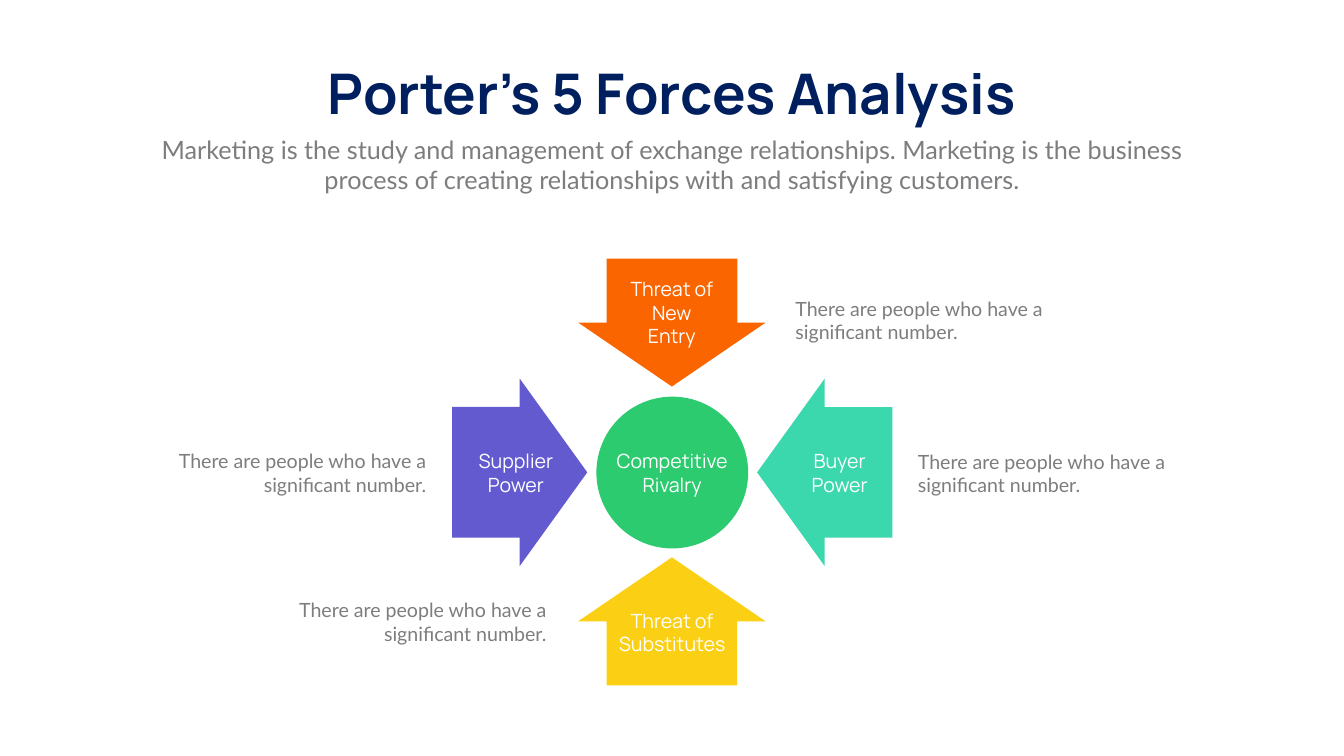
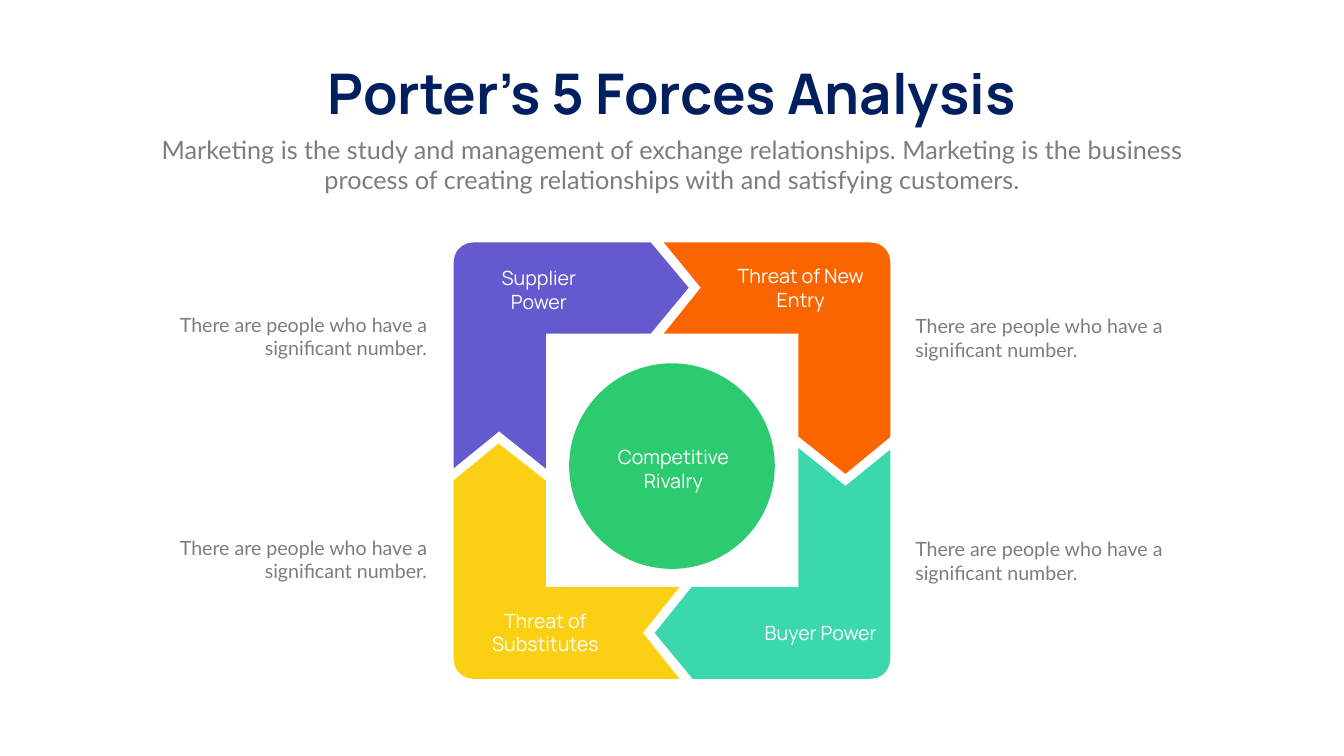
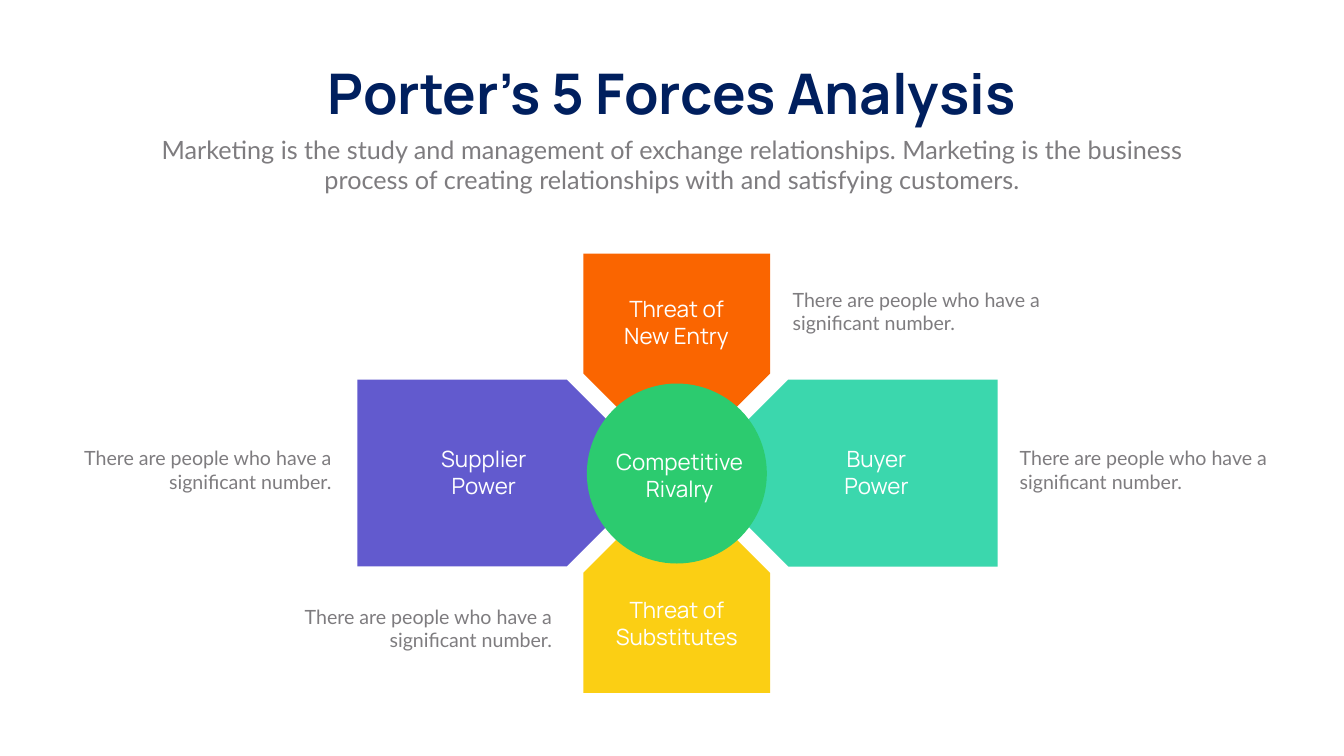
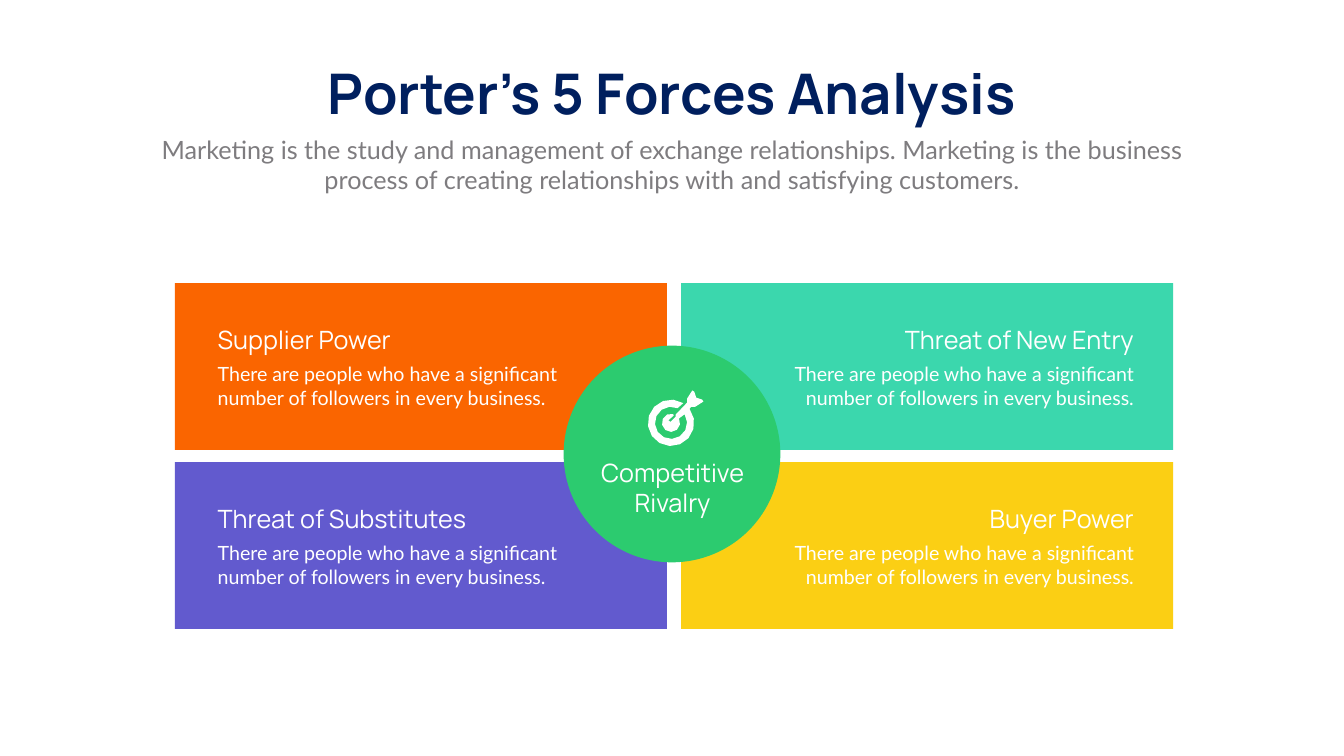
from math import cos, radians, sin

from pptx import Presentation
from pptx.dml.color import RGBColor as Rgb
from pptx.enum.shapes import MSO_SHAPE as Kind
from pptx.enum.text import MSO_ANCHOR as Anchor, MSO_AUTO_SIZE as Auto, PP_ALIGN as Align
from pptx.util import Cm, Pt

COLORS = {
    "navy": "001F5E",
    "gray": "7E7C7F",
    "white": "FFFFFF",
    "green": "2CCB6F",
    "yellow": "FBCF14",
    "orange": "FA6500",
    "teal": "3BD7AD",
    "purple": "625ACE",
}
TITLE = "Porter’s 5 Forces Analysis"
INTRO = (
    "Marketing is the study and management of exchange relationships. "
    "Marketing is the business process of creating relationships with "
    "and satisfying customers."
)
NOTE = "There are people who have a significant number."
CARD = "There are people who have a significant number of followers in every business."
RIVAL = "Competitive Rivalry"
ENTRY = "Threat of New Entry"
SUBS = "Threat of Substitutes"
BUYER = "Buyer Power"
SUPPLY = "Supplier Power"

LEFT, CENTER, RIGHT = Align.LEFT, Align.CENTER, Align.RIGHT
STYLES = {
    "title": {"name": "Manrope", "size": Pt(80), "bold": True},
    "intro": {"name": "Lato", "size": Pt(36)},
    "note": {"name": "Lato", "size": Pt(28)},
    "small": {"name": "Manrope", "size": Pt(28)},
    "mid": {"name": "Manrope", "size": Pt(32)},
    "large": {"name": "Manrope", "size": Pt(36)},
}
TIGHT = {
    "margin_left": 0,
    "margin_right": 0,
    "margin_top": 0,
    "margin_bottom": 0,
    "vertical_anchor": Anchor.MIDDLE,
}


def apply(item, values):
    for key, value in values.items():
        setattr(item, key, value)


def place(box):
    return [Cm(value) for value in box]


def write(frame, words, style, color, align, wrap=True, **extra):
    apply(frame, {"word_wrap": wrap, "auto_size": Auto.SHAPE_TO_FIT_TEXT, **extra})
    para = frame.paragraphs[0]
    para.alignment = align
    run = para.add_run()
    run.text = words
    apply(run.font, STYLES[style])
    run.font.color.rgb = Rgb.from_string(COLORS[color])


def text(slide, box, words, style, color="gray", align=LEFT, **extra):
    frame = slide.shapes.add_textbox(*place(box)).text_frame
    write(frame, words, style, color, align, **extra)


def label(slide, box, words, style):
    text(slide, box, words, style, "white", CENTER, **TIGHT)


def notes(slide, size, spots):
    for x, y, align in spots:
        text(slide, (x, y, *size), NOTE, "note", align=align)


def paint(shape, color):
    shape.fill.solid()
    shape.fill.fore_color.rgb = Rgb.from_string(COLORS[color])
    shape.line.fill.background()
    shape.shadow.inherit = False


def solid(slide, kind, box, color, turn=0, adjust=()):
    shape = slide.shapes.add_shape(kind, *place(box))
    shape.rotation = turn
    for index, value in enumerate(adjust):
        shape.adjustments[index] = value
    paint(shape, color)


def disc(slide, x, y, size):
    solid(slide, Kind.OVAL, (x, y, size, size), "green")


def arc(x, y, radius, start, end, steps):
    angles = [radians(start + (end - start) * i / steps) for i in range(steps + 1)]
    return [(x + radius * cos(a), y + radius * sin(a)) for a in angles]


def outline(slide, points, color):
    dots = [place(point) for point in points]
    form = slide.shapes.build_freeform(*dots[0])
    form.add_line_segments(dots[1:], close=True)
    paint(form.convert_to_shape(), color)


def target(slide, x, y):
    dart = [
        (1.63, -1.07), (1.57, -1.17), (1.27, -1.27), (1.17, -1.57), (1.07, -1.63),
        (0.81, -1.22), (0.81, -1.02), (0.23, -0.41), (0.23, -0.3), (-0.03, -0.05),
        (-0.13, -0.13), (0.13, -0.36),
    ]
    rings = (
        arc(0, 0, 0.46, -75, -389, 8)
        + arc(0, 0, 0.81, -32, 294, 11)
        + arc(0, 0, 1.17, -58, -397, 13)
    )
    tail = [(1.02, -0.81), (1.22, -0.81)]
    outline(slide, [(x + dx, y + dy) for dx, dy in dart + rings + tail], "white")


def start(deck):
    slide = deck.slides.add_slide(deck.slide_layouts[5])
    title = slide.shapes.title
    apply(title, dict(zip(("left", "top", "width", "height"), place((15.06, 2.84, 37.59, 3.68)))))
    write(title.text_frame, TITLE, "title", "navy", CENTER, wrap=False, vertical_anchor=Anchor.TOP)
    text(slide, (7.42, 6.63, 52.88, 3.33), INTRO, "intro", align=CENTER)
    return slide


def arrows(deck):
    slide = start(deck)
    disc(slide, 30.05, 19.99, 7.65)
    for x, y, high, turn, color in (
        (29.13, 28.09, 6.45, 0, "yellow"),
        (29.13, 13.03, 6.45, 180, "orange"),
        (36.83, 20.4, 6.81, 270, "teal"),
        (21.46, 20.4, 6.81, 90, "purple"),
    ):
        solid(slide, Kind.UP_ARROW, (x, y, 9.45, high), color, turn, (0.697, 0.5))
    for box, words in (
        ((30.5, 22.71, 6.73, 2.21), RIVAL),
        ((39.65, 22.71, 5.31, 2.21), BUYER),
        ((23.34, 22.71, 5.31, 2.21), SUPPLY),
        ((31.73, 14.08, 4.24, 3.33), ENTRY),
        ((30.5, 30.75, 6.73, 2.21), SUBS),
    ):
        label(slide, box, words, "small")
    notes(slide, (13, 2.64), (
        (46, 22.53, LEFT), (8.72, 22.5, RIGHT), (39.83, 14.83, LEFT), (14.78, 30.02, RIGHT),
    ))


def cycle(deck):
    slide = start(deck)
    disc(slide, 28.68, 18.31, 10.36)
    west, east, north, south = 22.86, 44.86, 12.22, 34.21
    inwest, ineast, innorth, insouth = 27.51, 40.23, 16.81, 29.59
    bend = 0.98
    for color, x, y, angle, points in (
        ("orange", east - bend, north + bend, 270, [
            (east, 22.02), (42.6, 23.88), (ineast, 22), (ineast, innorth),
            (33.45, innorth), (35.31, 14.5), (33.45, north)]),
        ("teal", east - bend, south - bend, 0, [
            (34.9, south), (32.99, 31.9), (34.85, insouth), (ineast, insouth),
            (ineast, 22.58), (42.6, 24.49), (east, 22.66)]),
        ("yellow", west + bend, south - bend, 90, [
            (west, 24.21), (25.12, 22.35), (inwest, 24.23), (inwest, insouth),
            (34.24, insouth), (32.39, 31.9), (34.24, south)]),
        ("purple", west + bend, north + bend, 180, [
            (32.79, north), (34.7, 14.5), (32.79, innorth), (inwest, innorth),
            (inwest, 23.62), (25.15, 21.74), (west, 23.6)]),
    ):
        outline(slide, arc(x, y, bend, angle, angle + 90, 5) + points, color)
    for box, words in (
        ((29.97, 22.32, 7.92, 2.62), RIVAL),
        ((38.23, 30.58, 6.25, 2.62), BUYER),
        ((24.03, 13.28, 6.25, 2.62), SUPPLY),
        ((36.88, 13.08, 6.93, 2.82), ENTRY),
        ((23.52, 30.56, 7.92, 2.62), SUBS),
    ):
        label(slide, box, words, "small")
    notes(slide, (15.29, 3.12), (
        (45.87, 15.72, LEFT), (6.48, 15.62, RIGHT), (45.87, 26.95, LEFT), (6.48, 26.87, RIGHT),
    ))


def cross(deck):
    slide = start(deck)
    for x, y, high, turn, color in (
        (20.07, 17.07, 13.54, 90, "purple"),
        (38.79, 17.07, 13.54, 270, "teal"),
        (29.39, 12.78, 8.86, 180, "orange"),
        (29.39, 26.06, 8.86, 0, "yellow"),
    ):
        solid(slide, Kind.SNIP_2_SAME_RECTANGLE, (x, y, 9.42, high), color, turn, (0.318, 0))
    disc(slide, 29.57, 19.33, 9.07)
    for x, y, wide, words in (
        (29.71, 22.58, 9.07, RIVAL),
        (42.16, 22.43, 4.01, BUYER),
        (20.8, 22.43, 7.16, SUPPLY),
        (31.22, 14.85, 5.74, ENTRY),
        (29.57, 30.02, 9.07, SUBS),
    ):
        label(slide, (x, y, wide, 2.74), words, "mid")
    notes(slide, (13, 2.64), (
        (3.95, 22.35, RIGHT), (39.69, 14.38, LEFT), (15.06, 30.35, RIGHT), (51.13, 22.35, LEFT),
    ))


def cards(deck):
    slide = start(deck)
    grid = (
        (0, 0, "orange", SUPPLY, 12.83),
        (1, 0, "teal", ENTRY, 12.83),
        (0, 1, "purple", SUBS, 14.61),
        (1, 1, "yellow", BUYER, 12.83),
    )
    step = 9.02
    for col, row, color, *_ in grid:
        box = (8.81 + 25.51 * col, 14.27 + step * row, 24.79, 8.41)
        solid(slide, Kind.RECTANGLE, box, color)
    disc(slide, 28.4, 17.42, 10.92)
    target(slide, 33.81, 21.31)
    label(slide, (29.7, 23.04, 8.38, 3.07), RIVAL, "large")
    for col, row, color, head, wide in grid:
        align = RIGHT if col else LEFT
        for y, width, high, words, style in (
            (16.23, wide, 1.8, head, "large"),
            (18.13, 19.81, 2.64, CARD, "note"),
        ):
            x = 57.38 - width if col else 10.72
            text(slide, (x, y + step * row, width, high), words, style, "white", align)


def main():
    deck = Presentation()
    apply(deck, {"slide_width": Cm(67.72), "slide_height": Cm(38.1)})
    for build in (arrows, cycle, cross, cards):
        build(deck)
    deck.save("out.pptx")


if __name__ == "__main__":
    main()
